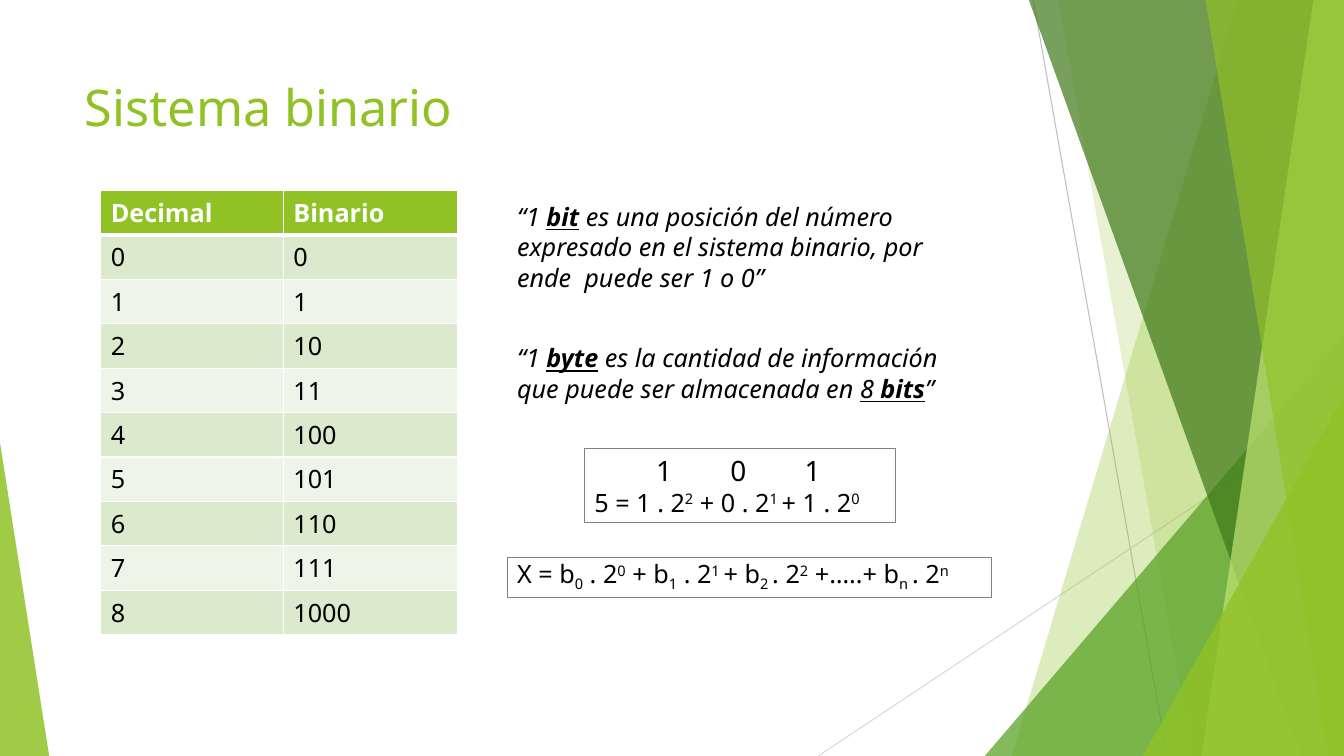
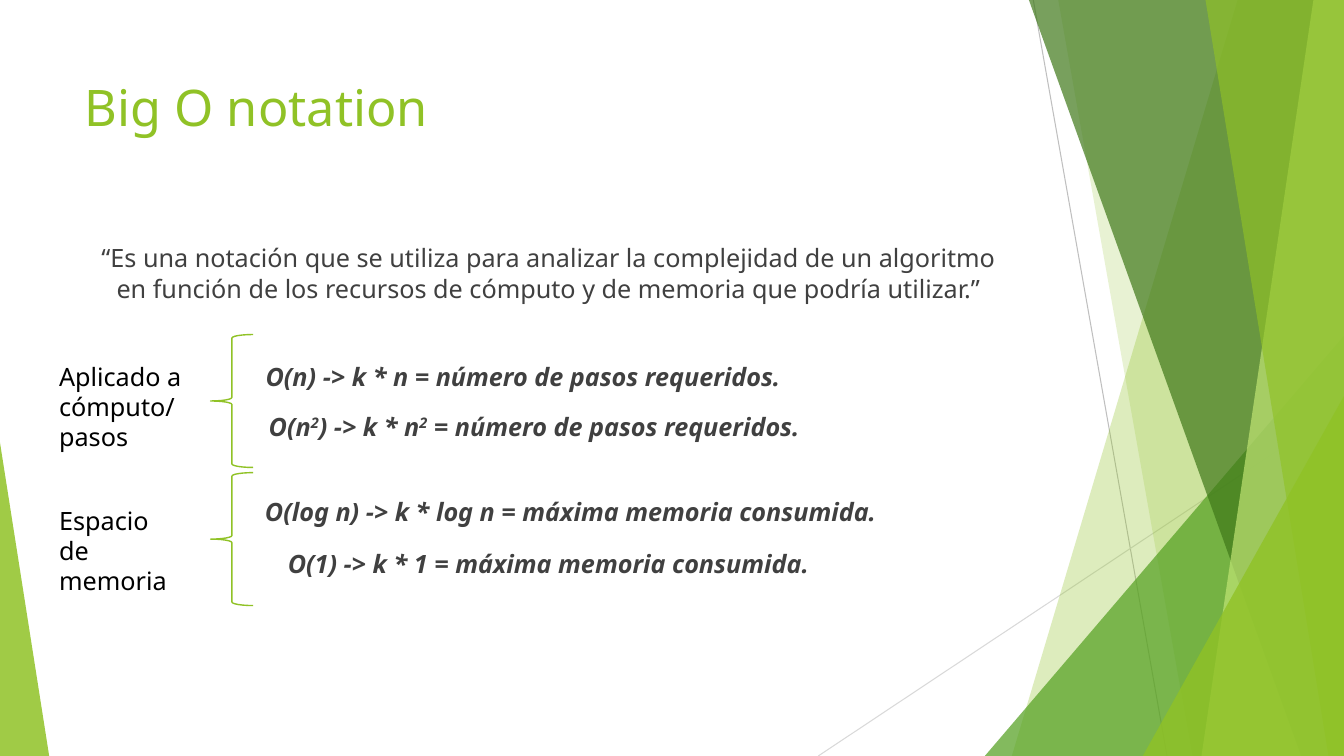
from dataclasses import dataclass
from typing import Optional

from lxml import etree
from pptx import Presentation
from pptx.dml.color import RGBColor
from pptx.enum.shapes import MSO_CONNECTOR, MSO_SHAPE
from pptx.enum.text import MSO_ANCHOR, MSO_AUTO_SIZE, PP_ALIGN
from pptx.oxml.ns import qn
from pptx.util import Cm, Pt

COLORS = {
    "green": "90C226", "leaf": "54A021", "forest": "3F7819", "lime": "C0E474",
    "ray": "BFBFBF", "pale_ray": "D9D9D9", "frame": "808080",
    "row_dark": "DBE9CD", "row_light": "EEF4E8",
    "white": "FFFFFF", "black": "000000", "body": "404040",
}
FONT = "Noto Sans"
WIDTH, HEIGHT = 33.87, 19.05
TEXT_SIZE = 18
LINE_FACTOR = 1.2
BODY_LEFT, BODY_WIDTH = 1.88, 23.88


@dataclass(frozen=True)
class Box:
    left: float
    top: float
    width: float
    height: float

    def emu(self):
        return Cm(self.left), Cm(self.top), Cm(self.width), Cm(self.height)


@dataclass(frozen=True)
class Run:
    text: str
    base: int = 0
    bold: bool = False
    underline: bool = False


@dataclass(frozen=True)
class Style:
    size: float = TEXT_SIZE
    color: str = "black"
    bold: bool = False
    italic: bool = False
    align: PP_ALIGN = PP_ALIGN.LEFT
    spacing: Optional[float] = None


@dataclass(frozen=True)
class Ray:
    start: tuple
    end: tuple
    color: str


@dataclass(frozen=True)
class Band:
    """A strip that reaches the right edge, with a slanted left side."""
    top_x: float
    bottom_x: float
    color: str
    opacity: int


@dataclass(frozen=True)
class Wedge:
    """A triangle standing on the bottom edge."""
    left: float
    top: float
    right: float
    apex: int
    color: str
    opacity: int


RAYS = [
    Ray((26.04, 0), (29.41, HEIGHT), "ray"),
    Ray((WIDTH, 10.24), (20.62, HEIGHT), "pale_ray"),
]
FACETS = [
    Band(31.19, 25.5, "green", 30),
    Band(26.67, 30.05, "green", 20),
    Wedge(24.82, 8.46, WIDTH, 1, "leaf", 72),
    Band(25.93, 32.79, "forest", 70),
    Band(33.1, 30.28, "lime", 70),
    Band(30.38, 33.48, "green", 65),
    Wedge(28.8, 9.98, WIDTH, 1, "green", 80),
    Wedge(0, 11.15, 1.24, 0, "green", 85),
]

TITLE_BOX = Box(BODY_LEFT, 1.7, BODY_WIDTH, 3.66)
TITLE_STYLE = Style(size=36, color="green", spacing=46)
ITALIC = Style(italic=True)
BODY_STYLE = Style(color="body", align=PP_ALIGN.CENTER)
FORMULA_STYLE = Style(color="body", bold=True, italic=True, align=PP_ALIGN.CENTER)


def rgb(name: str) -> RGBColor:
    return RGBColor.from_string(COLORS[name])


def sup(text: str) -> Run:
    return Run(text, base=30)


def sub(text: str) -> Run:
    return Run(text, base=-25)


# Text

def fill_paragraph(paragraph, runs: list, style: Style) -> None:
    paragraph.alignment = style.align
    paragraph.space_before = paragraph.space_after = Pt(0)
    paragraph.line_spacing = Pt(style.spacing or style.size * LINE_FACTOR)
    for item in runs:
        part = item if isinstance(item, Run) else Run(item)
        run = paragraph.add_run()
        run.text = part.text
        font = run.font
        font.name, font.size = FONT, Pt(style.size)
        font.color.rgb = rgb(style.color)
        font.bold = style.bold or part.bold
        font.italic = style.italic
        font.underline = part.underline
        if part.base:
            run._r.get_or_add_rPr().set("baseline", str(part.base * 1000))


def set_frame(shape, runs: list, style: Style, grow: bool = False) -> None:
    frame = shape.text_frame
    frame.word_wrap = True
    frame.vertical_anchor = MSO_ANCHOR.TOP
    frame.auto_size = MSO_AUTO_SIZE.SHAPE_TO_FIT_TEXT if grow else MSO_AUTO_SIZE.NONE
    fill_paragraph(frame.paragraphs[0], runs, style)


def add_text(slide, box: Box, runs: list, style: Style, grow: bool = False) -> None:
    set_frame(slide.shapes.add_textbox(*box.emu()), runs, style, grow)


def set_placeholder(shape, box: Box, text: str, style: Style) -> None:
    shape.left, shape.top, shape.width, shape.height = box.emu()
    set_frame(shape, [text], style)


def add_tabs(paragraph, stops: list) -> None:
    tabs = etree.SubElement(paragraph._p.get_or_add_pPr(), qn("a:tabLst"))
    for stop in stops:
        etree.SubElement(tabs, qn("a:tab"), pos=str(Cm(stop)), algn="ctr")


def remove_bullet(paragraph) -> None:
    properties = paragraph._p.get_or_add_pPr()
    properties.set("marL", "0")
    properties.set("indent", "0")
    etree.SubElement(properties, qn("a:buNone"))


# Shapes

def add_outline(slide, kind: MSO_SHAPE, box: Box, color: str, width: float):
    shape = slide.shapes.add_shape(kind, *box.emu())
    shape.shadow.inherit = False
    shape.fill.background()
    shape.line.color.rgb = rgb(color)
    shape.line.width = Pt(width)
    return shape


def draw_ray(slide, ray: Ray):
    line = slide.shapes.add_connector(
        MSO_CONNECTOR.STRAIGHT, *(Cm(v) for v in ray.start + ray.end))
    line.line.color.rgb = rgb(ray.color)
    line.line.width = Pt(0.75)
    etree.SubElement(line.element.spPr, qn("a:effectLst"))
    return line


def draw_facet(slide, facet):
    if isinstance(facet, Band):
        outline = slide.shapes.build_freeform(Cm(facet.top_x), 0, scale=1.0)
        corners = [(WIDTH, 0), (WIDTH, HEIGHT), (facet.bottom_x, HEIGHT)]
        outline.add_line_segments([(Cm(x), Cm(y)) for x, y in corners], close=True)
        shape = outline.convert_to_shape()
    else:
        box = Box(facet.left, facet.top, facet.right - facet.left, HEIGHT - facet.top)
        shape = slide.shapes.add_shape(MSO_SHAPE.ISOSCELES_TRIANGLE, *box.emu())
        shape.adjustments[0] = facet.apex
    shape.shadow.inherit = False
    shape.line.fill.background()
    shape.fill.solid()
    shape.fill.fore_color.rgb = rgb(facet.color)
    color = next(shape.element.iter(qn("a:srgbClr")))
    etree.SubElement(color, qn("a:alpha"), val=str(facet.opacity * 1000))
    return shape


def decorate_master(master, slide) -> None:
    """Draw the facets once and move them behind everything on the master."""
    drawn = [draw_ray(slide, ray) for ray in RAYS]
    drawn += [draw_facet(slide, facet) for facet in FACETS]
    for index, shape in enumerate(drawn, start=2):
        master.shapes.element.insert(index, shape.element)


# Table

def set_borders(cell, top: float, bottom: float) -> None:
    properties = cell._tc.get_or_add_tcPr()
    widths = {"lnL": 1, "lnR": 1, "lnT": top, "lnB": bottom}
    for index, (side, width) in enumerate(widths.items()):
        line = etree.Element(qn(f"a:{side}"), w=str(Pt(width)))
        fill = etree.SubElement(line, qn("a:solidFill"))
        etree.SubElement(fill, qn("a:srgbClr"), val=COLORS["white"])
        properties.insert(index, line)


def add_binary_table(slide) -> None:
    rows = [("Decimal", "Binario")] + [(str(n), f"{n:b}") for n in range(9)]
    columns, row_height = (4.6, 4.39), 1.03
    box = Box(2.54, 4.8, sum(columns), row_height * len(rows))
    table = slide.shapes.add_table(len(rows), len(columns), *box.emu()).table
    for column, width in zip(table.columns, columns):
        column.width = Cm(width)
    for r, row in enumerate(rows):
        table.rows[r].height = Cm(row_height)
        header = r == 0
        color = "green" if header else "row_dark" if r % 2 else "row_light"
        for c, text in enumerate(row):
            cell = table.cell(r, c)
            cell.fill.solid()
            cell.fill.fore_color.rgb = rgb(color)
            set_borders(cell, top=3 if r == 1 else 1, bottom=3 if header else 1)
            paragraph = cell.text_frame.paragraphs[0]
            fill_paragraph(paragraph, [text], Style(
                color="white" if header else "black", bold=header))
            paragraph.line_spacing = 1.0


# Slides

def build_binary(slide) -> None:
    set_placeholder(slide.shapes.title, TITLE_BOX, "Sistema binario", TITLE_STYLE)
    add_binary_table(slide)

    general = add_outline(slide, MSO_SHAPE.RECTANGLE, Box(12.78, 14.05, 12.22, 1.02), "frame", 0.75)
    set_frame(general, [
        "X = b", sub("0"), " . 2", sup("0"), " + b", sub("1"), " . 2", sup("1 "),
        "+ b", sub("2 "), ". 2", sup("2"), " +…..+ b", sub("n "), ". 2", sup("n"),
    ], Style(), grow=True)

    example = add_outline(slide, MSO_SHAPE.RECTANGLE, Box(14.73, 11.3, 7.85, 1.88), "frame", 0.75)
    set_frame(example, ["\t1\t0\t1"], Style(size=20), grow=True)
    add_tabs(example.text_frame.paragraphs[0], [1.76 + 1.87 * i for i in range(3)])
    fill_paragraph(example.text_frame.add_paragraph(), [
        "5 = 1 . 2", sup("2"), " + 0 . 2", sup("1 "), "+ 1 . 2", sup("0")], Style())

    add_text(slide, Box(12.78, 8.51, 11.73, 1.8), [
        "“1 ", Run("byte", bold=True, underline=True),
        " es la cantidad de información que puede ser almacenada en ",
        Run("8 ", underline=True), Run("bits", bold=True, underline=True), "”",
    ], ITALIC, grow=True)
    add_text(slide, Box(12.78, 4.95, 11.73, 2.57), [
        "“1 ", Run("bit", bold=True, underline=True),
        " es una posición del número expresado en el sistema binario, "
        "por ende  puede ser 1 o 0”",
    ], ITALIC, grow=True)


def build_big_o(slide) -> None:
    set_placeholder(slide.shapes.title, TITLE_BOX, "Big O notation", TITLE_STYLE)
    quote = slide.placeholders[1]
    set_placeholder(
        quote, Box(BODY_LEFT, 5.99, BODY_WIDTH, 2.36),
        "“Es una notación que se utiliza para analizar la complejidad de un algoritmo "
        "en función de los recursos de cómputo y de memoria que podría utilizar.”", BODY_STYLE)
    remove_bullet(quote.text_frame.paragraphs[0])

    steps, memory = " = número de pasos requeridos.", " = máxima memoria consumida."
    formulas = [
        (1.24, 8.97, ["O(n) -> k * n" + steps]),
        (1.52, 10.24, ["O(n", sup("2"), ") -> k * n", sup("2"), steps]),
        (2.44, 12.37, ["O(log n) -> k * log n" + memory]),
        (1.88, 13.69, ["O(1) -> k * 1" + memory]),
    ]
    for left, top, runs in formulas:
        add_text(slide, Box(left, top, BODY_WIDTH, 1.19), runs, FORMULA_STYLE)

    groups = [
        (8.43, 8.97, 2.57, "Aplicado a cómputo/pasos"),
        (11.91, 12.6, 1.8, "Espacio de memoria"),
    ]
    for brace_top, label_top, label_height, label in groups:
        add_outline(slide, MSO_SHAPE.LEFT_BRACE, Box(5.31, brace_top, 1.07, 3.35), "green", 1)
        add_text(slide, Box(1.24, label_top, 3.63, label_height), [label], Style(), grow=True)


def main() -> None:
    deck = Presentation()
    deck.slide_width, deck.slide_height = Cm(WIDTH), Cm(HEIGHT)
    binary = deck.slides.add_slide(deck.slide_layouts.get_by_name("Title Only"))
    big_o = deck.slides.add_slide(deck.slide_layouts.get_by_name("Title and Content"))
    decorate_master(deck.slide_master, binary)
    build_binary(binary)
    build_big_o(big_o)
    deck.save("out.pptx")


main()
